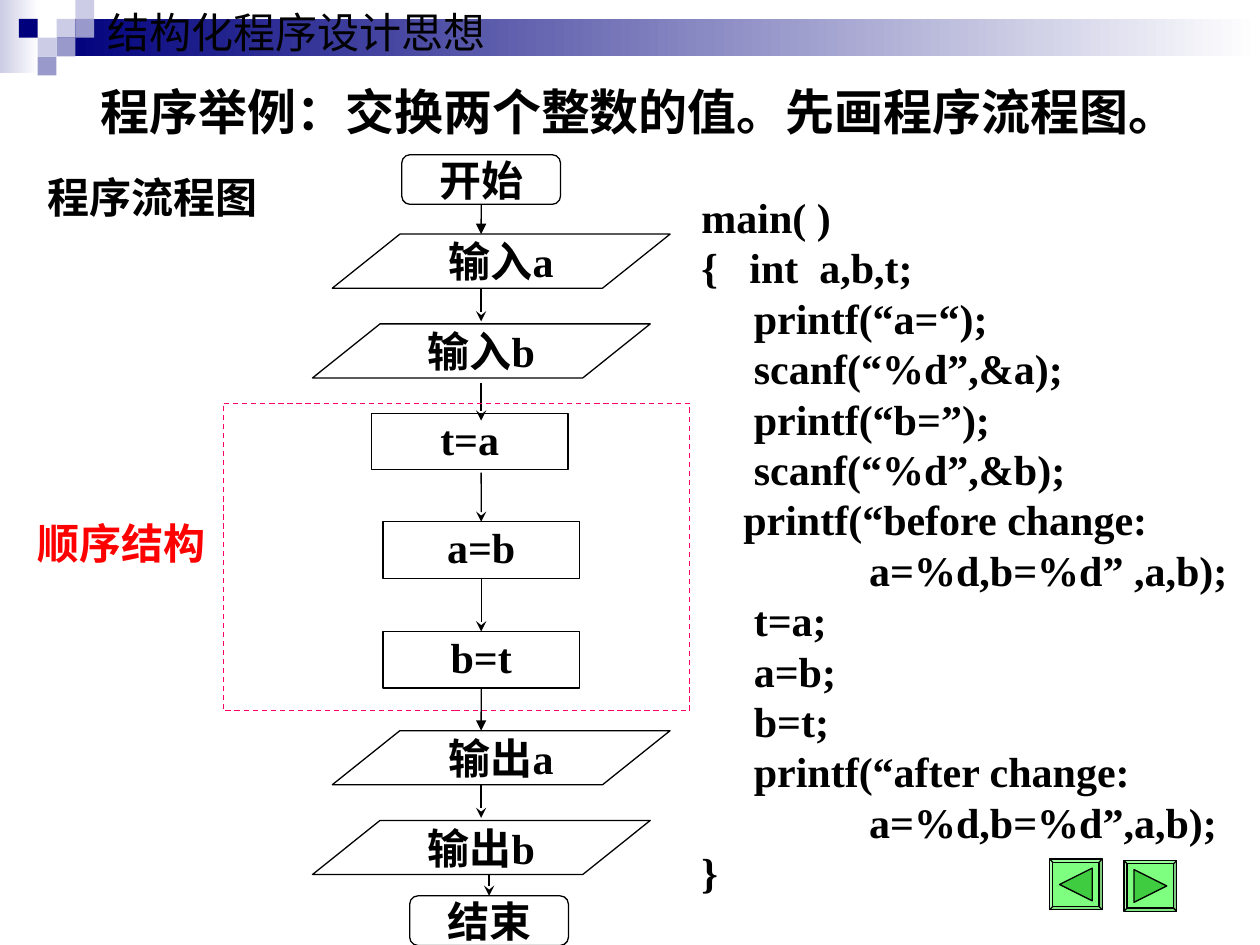
from dataclasses import dataclass

from lxml import etree
from pptx import Presentation
from pptx.dml.color import RGBColor
from pptx.enum.dml import MSO_LINE
from pptx.enum.shapes import MSO_CONNECTOR, MSO_SHAPE
from pptx.enum.text import MSO_ANCHOR, MSO_AUTO_SIZE, PP_ALIGN
from pptx.oxml.ns import qn
from pptx.util import Cm, Pt

RECT = MSO_SHAPE.RECTANGLE
TERMINAL = MSO_SHAPE.FLOWCHART_ALTERNATE_PROCESS
DATA = MSO_SHAPE.FLOWCHART_DATA
BEVEL = MSO_SHAPE.BEVEL
TRIANGLE = MSO_SHAPE.ISOSCELES_TRIANGLE
STRAIGHT = MSO_CONNECTOR.STRAIGHT
LEFT, CENTER = PP_ALIGN.LEFT, PP_ALIGN.CENTER
TOP, MIDDLE = MSO_ANCHOR.TOP, MSO_ANCHOR.MIDDLE
SIDE_TOP, SIDE_BOTTOM = 0, 2


@dataclass(frozen=True)
class Theme:
    font: str = "Times New Roman"
    title_size: float = 28
    text_size: float = 24
    line_width: float = 0.75
    ink: str = "000000"
    paper: str = "FFFFFF"
    navy: str = "00007D"
    lilac: str = "9999CC"
    pale: str = "CCCCE6"
    accent: str = "FF0000"
    frame: str = "FF0066"
    button: str = "00FF00"
    button_mark: str = "40CC40"


@dataclass(frozen=True)
class Box:
    """A region in centimetres."""
    left: float
    top: float
    width: float
    height: float

    def inner(self, left, top, width, height):
        """A box whose position is given relative to this one."""
        return Box(self.left + left, self.top + top, width, height)

    def lengths(self):
        return [Cm(value) for value in (self.left, self.top, self.width, self.height)]


THEME = Theme()


def color(code):
    return RGBColor.from_string(code)


def write(shape, text, *, size=THEME.text_size, ink=THEME.ink, bold=True,
          align=LEFT, anchor=TOP, wrap=False, inset=(0.25, 0.13)):
    frame = shape.text_frame
    frame.auto_size = MSO_AUTO_SIZE.NONE
    frame.word_wrap = wrap
    frame.vertical_anchor = anchor
    frame.margin_left = frame.margin_right = Cm(inset[0])
    frame.margin_top = frame.margin_bottom = Cm(inset[1])
    for index, line in enumerate(text.split("\n")):
        para = frame.paragraphs[0] if index == 0 else frame.add_paragraph()
        para.alignment = align
        span = para.add_run()
        span.text = line
        span.font.name = THEME.font
        span.font.size = Pt(size)
        span.font.bold = bold
        span.font.color.rgb = color(ink)


def add_label(page, box, text, **style):
    write(page.shapes.add_textbox(*box.lengths()), text, **style)


def add_block(page, kind, box, fill=None, line=None):
    block = page.shapes.add_shape(kind, *box.lengths())
    block.shadow.inherit = False
    if fill:
        block.fill.solid()
        block.fill.fore_color.rgb = color(fill)
    else:
        block.fill.background()
    if line:
        block.line.color.rgb = color(line)
        block.line.width = Pt(THEME.line_width)
    else:
        block.line.fill.background()
    return block


def add_fade(page, box, start):
    block = add_block(page, RECT, box)
    block.fill.gradient()
    block.fill.gradient_angle = 0
    for stop, code in zip(block.fill.gradient_stops, (start, THEME.paper)):
        stop.color.rgb = color(code)


def add_arrow(page, start, end, head):
    arrow = page.shapes.add_connector(STRAIGHT, *(Cm(value) for value in start + end))
    arrow.line.color.rgb = color(THEME.ink)
    arrow.line.width = Pt(THEME.line_width)
    outline = arrow._element.spPr.find(qn("a:ln"))
    etree.SubElement(outline, qn("a:tailEnd"), type=head)
    etree.SubElement(arrow._element.spPr, qn("a:effectLst"))
    return arrow


def add_header(page, box):
    unit = 0.38
    add_fade(page, box.inner(0, 0, 0.78, 1.47), THEME.pale)
    add_fade(page, box.inner(3 * unit, unit, box.width - 3 * unit, 2 * unit), THEME.navy)
    squares = {
        THEME.pale: [(3, 1), (4, 0), (2, 2)],
        THEME.lilac: [(4, 1), (3, 2), (2, 3)],
        THEME.navy: [(1, 1)],
    }
    for fill, cells in squares.items():
        for column, row in cells:
            add_block(page, RECT, box.inner(column * unit, row * unit, unit, unit), fill)
    add_label(page, box.inner(1.91, 0, 8.13, 1.27), "结构化程序设计思想", bold=False)


def add_title(page, box):
    title = page.shapes.title
    title.left, title.top, title.width, title.height = box.lengths()
    write(title, "程序举例：交换两个整数的值。先画程序流程图。", size=THEME.title_size)


def add_flowchart(page, box):
    axis = 3.4
    arrows = [
        # x offset, top, bottom, arrowhead, step it leaves, step it reaches
        (0, 0.99, 1.6, "triangle", "开始", None),
        (0, 2.6, 3.36, "stealth", None, None),
        (0, 4.6, 5.36, "stealth", None, None),
        (0, 6.41, 7.37, "stealth", None, "a=b"),
        (0, 8.61, 9.55, "stealth", "a=b", "b=t"),
        (0, 10.8, 11.61, "triangle", "b=t", None),
        (0, 12.6, 13.37, "stealth", None, None),
        (0.16, 13.75, 15.02, "stealth", None, "结束"),
    ]
    drawn = [add_arrow(page, (box.left + axis + shift, box.top + start),
                       (box.left + axis + shift, box.top + end), head)
             for shift, start, end, head, _, _ in arrows]

    sizes = {TERMINAL: (3.2, 1), DATA: (6.81, 1.09), RECT: (3.96, 1.14)}
    steps = {}
    for kind, text, left, top in [
        (TERMINAL, "开始", 1.8, 0),
        (DATA, "输入a", 0.4, 1.6),
        (DATA, "输入b", 0, 3.41),
        (RECT, "t=a", 1.19, 5.21),
        (RECT, "a=b", 1.42, 7.4),
        (RECT, "b=t", 1.42, 9.61),
        (DATA, "输出a", 0.4, 11.61),
        (DATA, "输出b", 0, 13.42),
        (TERMINAL, "结束", 1.96, 14.94),
    ]:
        fill = None if kind == RECT else THEME.paper
        step = add_block(page, kind, box.inner(left, top, *sizes[kind]), fill, THEME.ink)
        if kind == RECT:
            write(step, text, align=CENTER, wrap=True, inset=(0, 0))
        else:
            write(step, text, align=CENTER, anchor=MIDDLE)
        steps[text] = step

    for arrow, (*_, source, target) in zip(drawn, arrows):
        if source:
            arrow.begin_connect(steps[source], SIDE_BOTTOM)
        if target:
            arrow.end_connect(steps[target], SIDE_TOP)

    sequence = add_block(page, RECT, box.inner(-1.8, 5.01, 9.4, 6.2), line=THEME.frame)
    sequence.line.dash_style = MSO_LINE.DASH
    add_label(page, box.inner(-5.59, 0.21, 4.72, 1.27), "程序流程图")
    add_label(page, box.inner(-5.79, 7.19, 3.89, 1.27), "顺序结构", ink=THEME.accent)


def add_code(page, box):
    add_label(page, box, """main( )
{   int  a,b,t;
     printf(“a=“);
     scanf(“%d”,&a);
     printf(“b=”);
     scanf(“%d”,&b);
    printf(“before change:
                a=%d,b=%d” ,a,b);
     t=a;
     a=b;
     b=t;
     printf(“after change:
                a=%d,b=%d”,a,b);
}""", wrap=True)


def add_button(page, box, turn):
    button = add_block(page, BEVEL, box, THEME.button, THEME.ink)
    button.adjustments[0] = 0.06
    fill = button._element.spPr.find(qn("a:solidFill"))
    etree.SubElement(fill[0], qn("a:alpha"), val="50000")
    side = 0.66
    mark = add_block(page, TRIANGLE, box.inner((box.width - side) / 2, (box.height - side) / 2,
                                               side, side), THEME.button_mark, THEME.ink)
    mark.rotation = turn


def main():
    deck = Presentation()
    deck.slide_width, deck.slide_height = Cm(25.4), Cm(19.05)
    page = deck.slides.add_slide(deck.slide_layouts.get_by_name("Title Only"))
    add_header(page, Box(0, 0, 25.4, 1.47))
    add_button(page, Box(22.66, 17.35, 1.06, 1.02), 90)
    add_button(page, Box(21.16, 17.32, 1.06, 1.02), 270)
    add_title(page, Box(1.78, 1.52, 22.2, 1.45))
    add_flowchart(page, Box(6.3, 3.12, 7.21, 15.94))
    add_code(page, Box(13.89, 3.73, 12.19, 14.48))
    deck.save("out.pptx")


if __name__ == "__main__":
    main()
